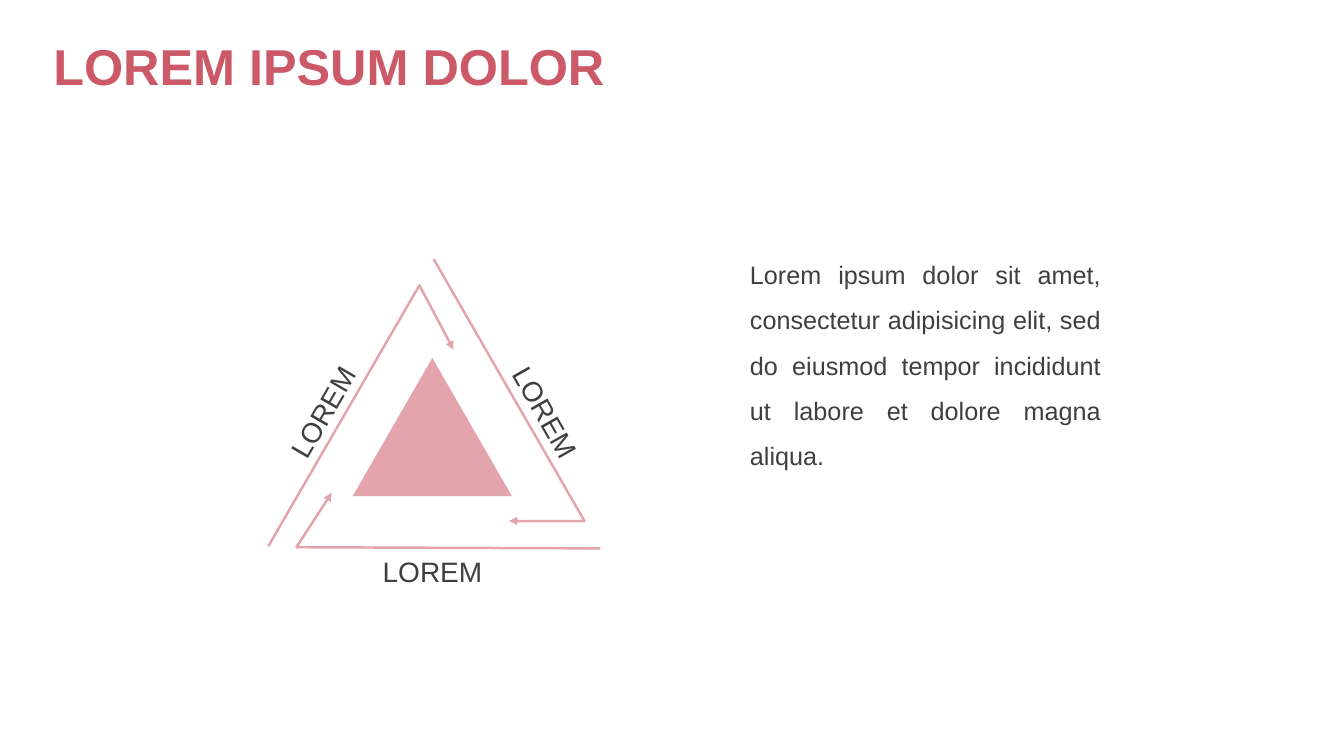
from pptx import Presentation
from pptx.dml.color import RGBColor
from pptx.enum.shapes import MSO_SHAPE
from pptx.enum.text import MSO_ANCHOR, MSO_AUTO_SIZE, PP_ALIGN
from pptx.oxml.ns import qn
from pptx.util import Cm, Pt
from lxml import etree

ROSE = RGBColor(0xCC, 0x59, 0x68)
PINK = RGBColor(0xE3, 0xA4, 0xAC)
DARK = RGBColor(0x3F, 0x3F, 0x3F)
TRIANGLE = MSO_SHAPE.ISOSCELES_TRIANGLE
LEFT, CENTER, JUSTIFY = PP_ALIGN.LEFT, PP_ALIGN.CENTER, PP_ALIGN.JUSTIFY
TOP, BOTTOM = MSO_ANCHOR.TOP, MSO_ANCHOR.BOTTOM
NO_AUTOFIT = MSO_AUTO_SIZE.NONE

LABELS = [(11.81, 9.96, 60.4), (6.2, 9.96, 300.2), (8.97, 13.97, 0)]
ARROWS = [
    [(15.13, 13.82), (7.47, 13.79), (8.36, 12.42)],
    [(10.93, 6.53), (14.73, 13.13), (12.83, 13.13)],
    [(6.76, 13.77), (10.57, 7.19), (11.43, 8.81)],
]


def write(s, text, size, color, align, anchor=TOP, spacing=1.0, bold=False):
    tf = s.text_frame
    tf.word_wrap = True
    tf.auto_size = NO_AUTOFIT
    tf.vertical_anchor = anchor
    p = tf.paragraphs[0]
    p.text = text
    p.alignment = align
    p.line_spacing = spacing
    p.font.name = "Arial"
    p.font.size = Pt(size)
    p.font.bold = bold
    p.font.color.rgb = color


def add_title(slide, text):
    s = slide.shapes.title
    s.left, s.top, s.width, s.height = Cm(1.09), Cm(0.71), Cm(21.44), Cm(1.85)
    write(s, text, 36, ROSE, LEFT, BOTTOM, 0.9, True)


def add_text(slide, x, y, w, h, side_inset=0):
    s = slide.shapes.add_textbox(Cm(x), Cm(y), Cm(w), Cm(h))
    tf = s.text_frame
    tf.margin_top = tf.margin_bottom = 0
    tf.margin_left = tf.margin_right = Cm(side_inset)
    return s


def add_label(slide, x, y, angle):
    s = add_text(slide, x, y, 3.86, 0.86, 0.18)
    s.rotation = angle
    write(s, "LOREM", 20, DARK, CENTER)


def add_triangle(slide, x, y, w, h):
    s = slide.shapes.add_shape(TRIANGLE, Cm(x), Cm(y), Cm(w), Cm(h))
    s.shadow.inherit = False
    s.fill.solid()
    s.fill.fore_color.rgb = PINK
    s.line.fill.background()


def add_bent_arrow(slide, points):
    start, *rest = [(Cm(x), Cm(y)) for x, y in points]
    builder = slide.shapes.build_freeform(*start)
    builder.add_line_segments(rest, close=False)
    s = builder.convert_to_shape()
    s.shadow.inherit = False
    s.fill.background()
    s.line.color.rgb = PINK
    s.line.width = Pt(1.75)
    ln = s.element.spPr.find(qn("a:ln"))
    etree.SubElement(ln, qn("a:tailEnd"), type="triangle")


def main():
    prs = Presentation()
    prs.slide_width, prs.slide_height = Cm(33.87), Cm(19.05)
    slide = prs.slides.add_slide(prs.slide_layouts[5])
    add_title(slide, "LOREM IPSUM DOLOR")
    body = add_text(slide, 18.9, 6.15, 8.84, 10.64)
    write(body, "Lorem ipsum dolor sit amet, consectetur adipisicing elit, "
          "sed do eiusmod tempor incididunt ut labore et dolore magna aliqua.",
          18, DARK, JUSTIFY, spacing=1.5)
    add_triangle(slide, 8.89, 9.02, 4.01, 3.48)
    for points in ARROWS:
        add_bent_arrow(slide, points)
    for x, y, angle in LABELS:
        add_label(slide, x, y, angle)
    prs.save("out.pptx")


if __name__ == "__main__":
    main()
